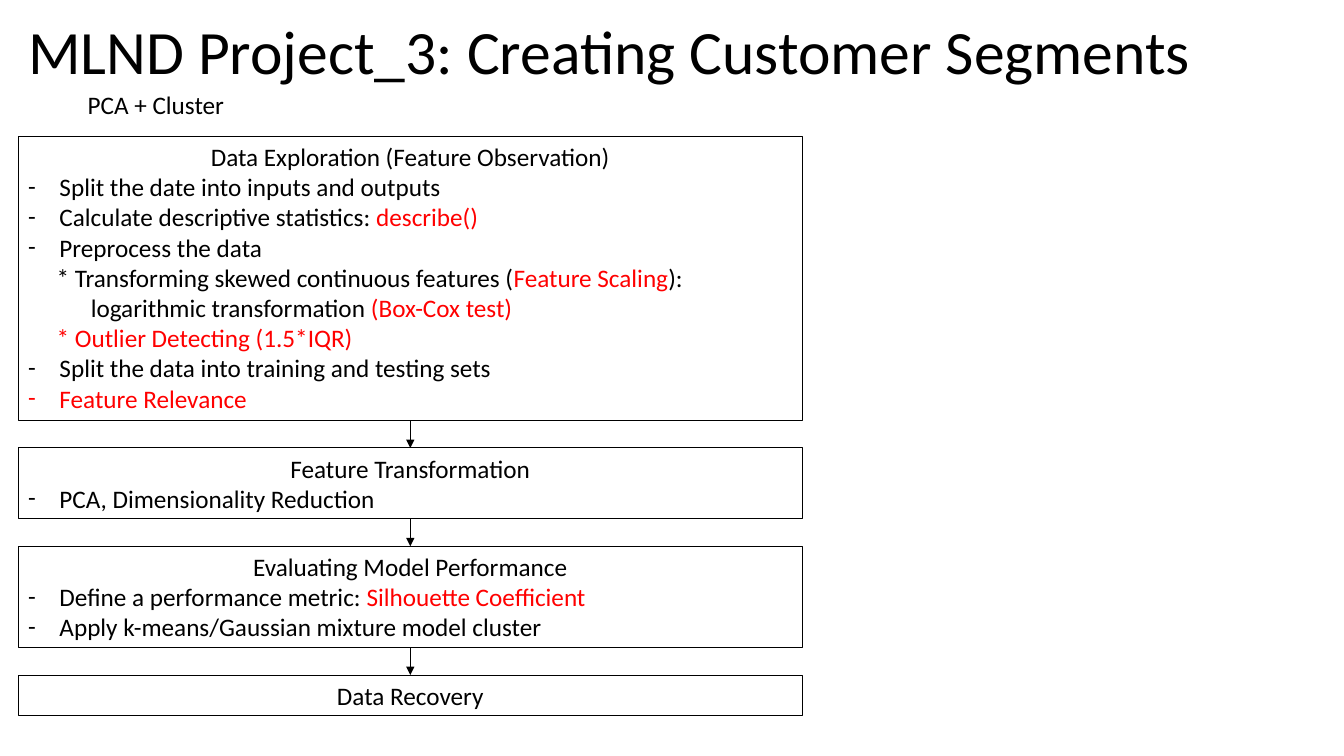
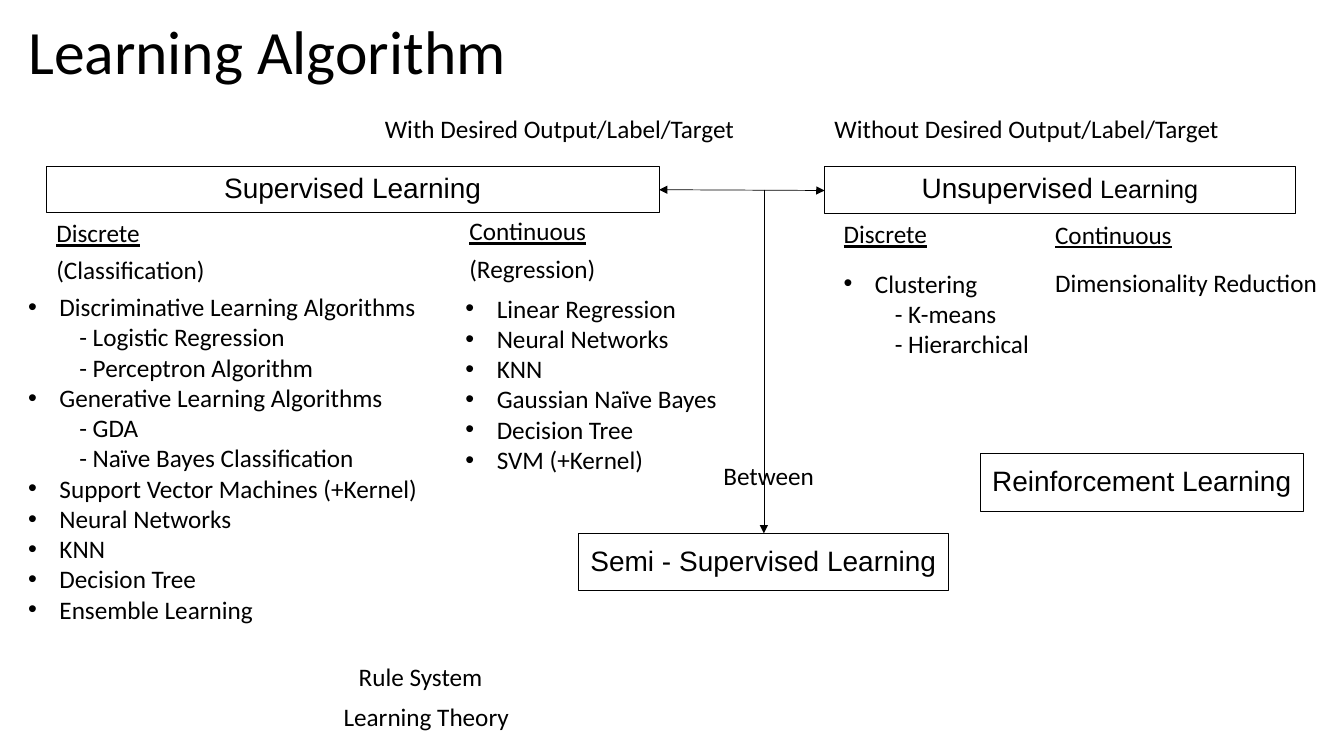
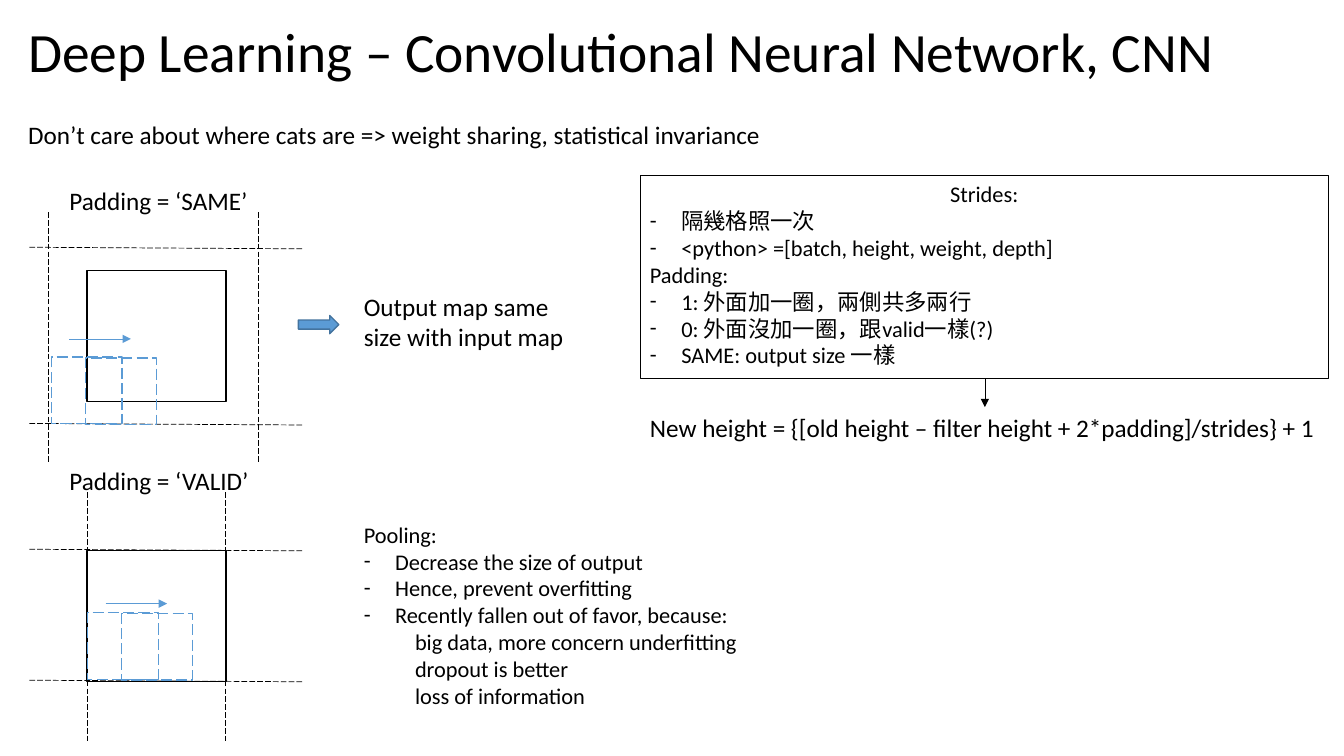
from pptx import Presentation
from pptx.dml.color import RGBColor
from pptx.enum.dml import MSO_LINE
from pptx.enum.shapes import MSO_CONNECTOR, MSO_SHAPE
from pptx.enum.text import MSO_ANCHOR, PP_ALIGN
from pptx.oxml.ns import qn
from pptx.util import Cm, Pt
from lxml.etree import SubElement

BLACK, RED, BLUE, NAVY = "000000", "FF0000", "5B9BD5", "43739E"
FACE, HEAD = "Calibri", "Arial"
LEFT = 0.46

# Marks that may open a line of text: bullets (with their font) and indents in cm
BULLET = {"-": FACE, "•": HEAD}
INDENT = {">": 0.72, ">>": 1.29, ">>>": 1.58}
CENTER = "^"


def tint(code):
    return RGBColor.from_string(code)


def tall(count, size=18):
    """Height in cm of a box that holds count lines."""
    return count * size * 0.0427 + 0.25


# Text
def mark(para, sign):
    props = para._p.get_or_add_pPr()
    if sign == CENTER:
        para.alignment = PP_ALIGN.CENTER
    elif sign in INDENT:
        props.set("marL", str(Cm(INDENT[sign])))
    else:
        props.set("marL", str(Cm(0.79)))
        props.set("indent", str(-Cm(0.79)))
        SubElement(props, qn("a:buFont")).set("typeface", BULLET[sign])
        SubElement(props, qn("a:buChar")).set("char", sign)


def write(frame, lines, size=18, face=FACE, under=None, space=None):
    """Fill a frame; a bar in a line switches between black and red."""
    frame.word_wrap = True
    for i, line in enumerate(lines):
        para = frame.paragraphs[0] if i == 0 else frame.add_paragraph()
        sign, _, rest = line.partition(" ")
        if sign == CENTER or sign in BULLET or sign in INDENT:
            mark(para, sign)
            line = rest
        para.line_spacing = space
        font = para.font
        font.name, font.size, font.underline = face, Pt(size), under
        font.color.rgb = tint(BLACK)
        for j, part in enumerate(line.split("|")):
            if part:
                run = para.add_run()
                run.text = part
                if j % 2:
                    run.font.color.rgb = tint(RED)


def text(slide, x, y, w, lines, size=18, h=None, **style):
    h = h or tall(len(lines), size)
    item = slide.shapes.add_textbox(Cm(x), Cm(y), Cm(w), Cm(h))
    write(item.text_frame, lines, size, **style)
    return item.text_frame


# Shapes and lines
def shape(slide, x, y, w, h, line=BLACK, width=0.75, fill=None, dash=None,
          kind=MSO_SHAPE.RECTANGLE):
    item = slide.shapes.add_shape(kind, Cm(x), Cm(y), Cm(w), Cm(h))
    item.shadow.inherit = False
    if fill:
        item.fill.solid()
        item.fill.fore_color.rgb = tint(fill)
    else:
        item.fill.background()
    item.line.color.rgb = tint(line)
    item.line.width = Pt(width)
    item.line.dash_style = dash
    item.text_frame.vertical_anchor = MSO_ANCHOR.TOP
    return item


def line(slide, x, y, x2, y2, color=BLACK, dash=None, ends=()):
    item = slide.shapes.add_connector(
        MSO_CONNECTOR.STRAIGHT, Cm(x), Cm(y), Cm(x2), Cm(y2))
    item.line.color.rgb = tint(color)
    item.line.width = Pt(0.5)
    item.line.dash_style = dash
    props = item._element.spPr
    for end in ends:
        SubElement(props.find(qn("a:ln")), qn("a:" + end)).set("type", "triangle")
    SubElement(props, qn("a:effectLst"))


def arrow(slide, x, y, x2, y2, color=BLACK):
    line(slide, x, y, x2, y2, color, ends=["tailEnd"])


def start(deck, title, size=44):
    slide = deck.slides.add_slide(deck.slide_layouts[6])
    frame = text(slide, LEFT, 0.36, 32.79, [title], size, h=2.03, space=0.9)
    frame.vertical_anchor = MSO_ANCHOR.MIDDLE
    return slide


# Regions
def flow(slide, x, y, w, steps, gap=0.69):
    """Stack of boxes joined by arrows."""
    mid = x + w / 2
    for i, lines in enumerate(steps):
        if i:
            arrow(slide, mid, y - gap, mid, y)
        h = tall(len(lines))
        write(shape(slide, x, y, w, h).text_frame, lines)
        y += h + gap


def topic(slide, x, y, w, h, name):
    frame = shape(slide, x, y, w, h).text_frame
    frame.vertical_anchor = MSO_ANCHOR.MIDDLE
    write(frame, ["^ " + name], 20, face=HEAD, space=0.9)
    return frame.paragraphs[0]


def column(slide, x, y, w, name, *parts):
    """Underlined name with text parts offset from it."""
    text(slide, x, y, w, [name], under=True)
    for dx, dy, lines in parts:
        text(slide, x + dx, y + dy, w, lines)


def panel(slide, x, y, name, rows, cols, spot, rise):
    """Input map, its border lines and a filter that moves right."""
    dash = MSO_LINE.LONG_DASH
    shape(slide, x + 1.45, y + 2.27, 3.51, 3.3, width=1)
    for row in rows:
        line(slide, x, y + row, x + 6.88, y + row + 0.04, dash=dash)
    for col in cols:
        line(slide, x + col, y + 0.8, x + col, y + 7.13, dash=dash)
    left, top = x + spot[0], y + spot[1]
    for dx, dy in ((0, 0), (0.86, 0.02)):
        shape(slide, left + dx, top + dy, 1.78, 1.68, BLUE, 1, dash=dash)
    arrow(slide, left + 0.45, top - rise, left + 2, top - rise, BLUE)
    text(slide, x + 0.76, y, 5.33, [name])


# Slides
def segments(deck):
    slide = start(deck, "MLND Project_3: Creating Customer Segments")
    text(slide, 1.96, 2.13, 21.18, ["PCA + Cluster"])
    flow(slide, LEFT, 3.43, 19.76, [
        ["^ Data Exploration (Feature Observation)",
         "- Split the date into inputs and outputs",
         "- Calculate descriptive statistics: |describe()",
         "- Preprocess the data",
         "> * Transforming skewed continuous features (|Feature Scaling|):",
         ">>> logarithmic transformation |(Box-Cox test)",
         "> |* Outlier Detecting (1.5*IQR)",
         "- Split the data into training and testing sets",
         "- |Feature Relevance"],
        ["^ Feature Transformation",
         "- PCA, Dimensionality Reduction"],
        ["^ Evaluating Model Performance",
         "- Define a performance metric: |Silhouette Coefficient",
         "- Apply k-means/Gaussian mixture model cluster"],
        ["^ Data Recovery"],
    ])


def methods(deck):
    slide = start(deck, "Learning Algorithm")

    # Topics
    topic(slide, 1.17, 4.19, 15.44, 1.17, "Supervised Learning")
    tail = topic(slide, 20.78, 4.2, 11.86, 1.17, "Unsupervised").add_run()
    tail.text = " Learning"
    tail.font.size = Pt(18)
    topic(slide, 24.71, 11.43, 8.13, 1.45, "Reinforcement Learning")
    topic(slide, 14.58, 13.44, 9.32, 1.45, "Semi - Supervised Learning")

    # Links
    line(slide, 16.61, 4.78, 20.78, 4.8, ends=["headEnd", "tailEnd"])
    arrow(slide, 19.25, 4.78, 19.25, 13.44)

    # Columns
    column(slide, 1.17, 5.36, 10.31, "Discrete",
           (0, 0.92, ["(Classification)"]),
           (-0.71, 1.86, [
               "• Discriminative Learning Algorithms",
               ">> - Logistic Regression",
               ">> - Perceptron Algorithm",
               "• Generative Learning Algorithms",
               ">> - GDA",
               ">> - Naïve Bayes Classification",
               "• Support Vector Machines (+Kernel)",
               "• Neural Networks",
               "• KNN",
               "• Decision Tree",
               "• Ensemble Learning"]))
    column(slide, 11.58, 5.31, 6.88, "Continuous",
           (0, 0.94, ["(Regression)"]),
           (-0.1, 1.95, [
               "• Linear Regression",
               "• Neural Networks",
               "• KNN",
               "• Gaussian Naïve Bayes",
               "• Decision Tree",
               "• SVM (+Kernel)"]))
    column(slide, 21.01, 5.38, 5.61, "Discrete",
           (0, 1.25, ["• Clustering", ">> - K-means", ">> - Hierarchical"]))
    column(slide, 26.34, 5.4, 7.32, "Continuous",
           (0, 1.2, ["Dimensionality Reduction"]))

    # Labels
    for x, y, w, label in (
            (9.45, 2.74, 10.06, "With Desired Output/Label/Target"),
            (20.78, 2.73, 11, "Without Desired Output/Label/Target"),
            (17.98, 11.48, 2.95, "Between"),
            (8.79, 16.54, 3.99, "Rule System"),
            (8.41, 17.54, 4.75, "Learning Theory")):
        text(slide, x, y, w, [label])


def network(deck):
    slide = start(deck, "Deep Learning – Convolutional Neural Network, CNN", 39.6)
    text(slide, LEFT, 2.87, 19.3, [
        "Don’t care about where cats are => weight sharing, statistical invariance"])

    # Padding
    panel(slide, 0.74, 4.55, "Padding = ‘SAME’",
          (1.68, 6.12), (0.48, 5.77), (0.56, 4.45), 0.46)
    panel(slide, 0.74, 11.6, "Padding = ‘VALID’",
          (2.24, 5.54), (1.45, 4.93), (1.47, 3.84), 0.23)
    shape(slide, 7.52, 7.95, 1.02, 0.46, NAVY, 1, BLUE,
          kind=MSO_SHAPE.RIGHT_ARROW)
    text(slide, 8.92, 7.21, 5.72, ["Output map same size with input map"],
         h=tall(2))

    # Strides and the formula
    notes = shape(slide, 16.13, 4.42, 17.35, 5.13)
    write(notes.text_frame, [
        "Strides:",
        "- 隔幾格照一次",
        "- <python> =[batch, height, weight, depth]",
        "Padding:",
        "- 1: 外面加一圈，兩側共多兩行",
        "- 0: 外面沒加一圈，跟valid一樣(?)",
        "- SAME: output size 一樣"], 16)
    arrow(slide, 24.82, 9.55, 24.82, 10.26)
    text(slide, 16.13, 10.26, 17.35, [
        "New height = {[old height – filter height + 2*padding]/strides} + 1"])

    # Pooling
    text(slide, 8.92, 13, 10.19, [
        "Pooling:",
        "- Decrease the size of output",
        "- Hence, prevent overfitting",
        "- Recently fallen out of favor, because:",
        ">> big data, more concern underfitting",
        ">> dropout is better",
        ">> loss of information"], 16)


def main():
    deck = Presentation()
    deck.slide_width, deck.slide_height = Cm(33.87), Cm(19.05)
    for build in (segments, methods, network):
        build(deck)
    deck.save("out.pptx")


if __name__ == "__main__":
    main()
